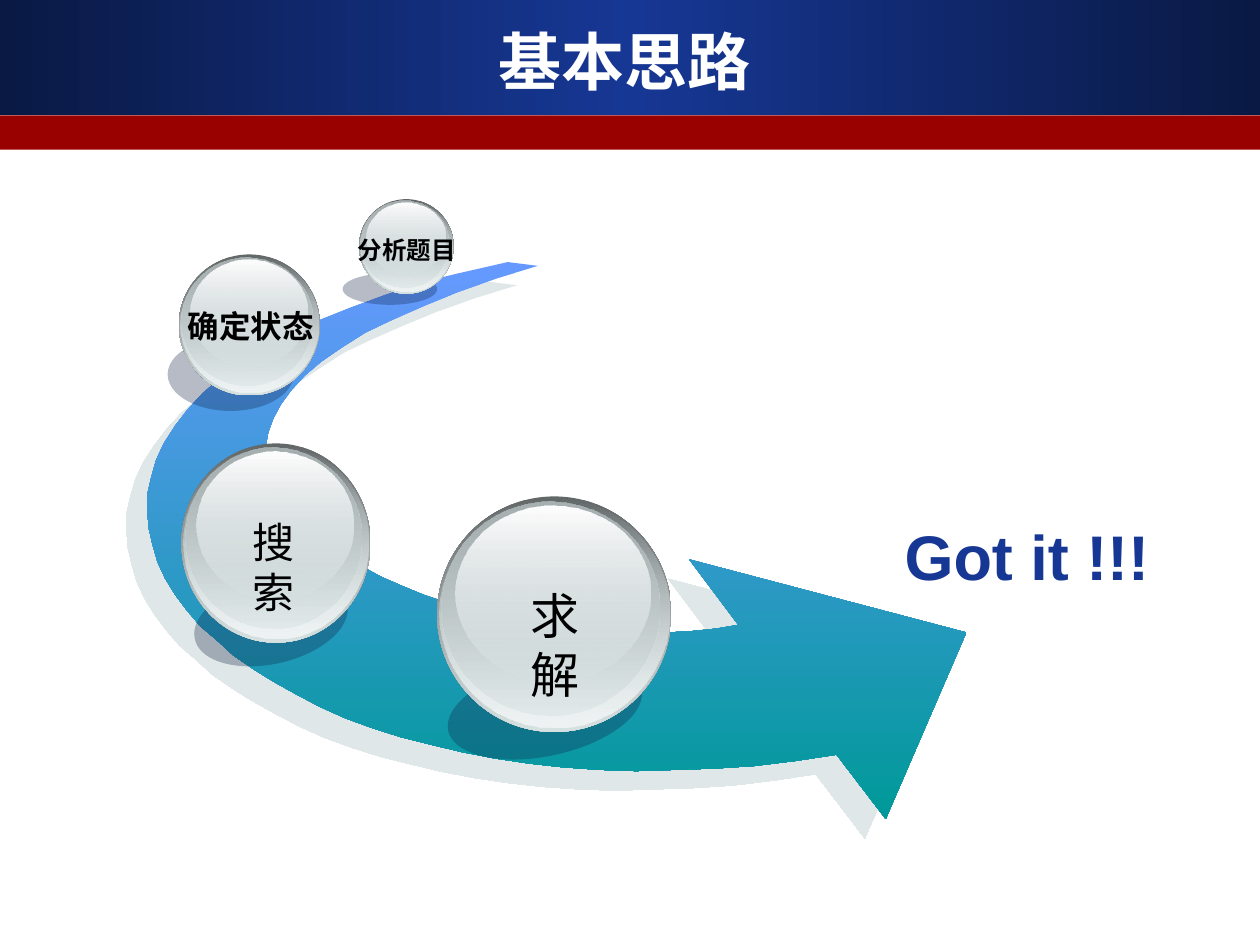
from lxml.etree import SubElement
from pptx import Presentation
from pptx.dml.color import RGBColor
from pptx.enum.shapes import MSO_SHAPE as Preset
from pptx.enum.text import MSO_ANCHOR as Anchor, MSO_AUTO_SIZE as AutoSize, PP_ALIGN as Align
from pptx.oxml.ns import qn
from pptx.util import Pt

NAVY, BLUE, RED, BLACK, WHITE = "0A1944", "163794", "990000", "000000", "FFFFFF"
BALL_SHADOW = "0F2145"

# Arrow outline, in hundredths of an inch
ARROW = [
    # Outer edge, from tail to head
    (403, 208), (368, 216), (336, 224), (306, 234), (279, 244), (254, 254),
    (231, 265), (210, 276), (191, 288), (175, 300), (161, 312), (149, 325),
    (139, 338), (130, 352), (124, 365), (120, 379), (117, 392), (117, 406),
    (118, 419), (121, 432), (125, 446), (131, 459), (139, 472), (148, 484),
    (159, 497), (172, 508), (185, 520), (201, 531), (217, 541), (235, 551),
    (254, 561), (274, 570), (296, 578), (318, 585), (342, 591), (367, 597),
    (393, 602), (420, 606), (447, 609), (476, 611), (505, 612), (536, 611),
    (567, 610), (598, 608), (631, 604), (664, 599),
    # Head
    (703, 650), (767, 502), (547, 444), (586, 496),
    # Inner edge, back to tail
    (568, 499), (548, 501), (529, 502), (509, 502), (489, 502), (469, 500),
    (449, 498), (429, 496), (410, 492), (390, 488), (372, 483), (354, 478),
    (336, 472), (319, 465), (303, 458), (288, 450), (274, 442), (261, 434),
    (250, 425), (239, 416), (231, 406), (223, 396), (218, 386), (213, 375),
    (211, 365), (211, 354), (213, 343), (217, 332), (223, 321), (231, 310),
    (242, 298), (255, 287), (271, 276), (290, 264), (311, 254), (336, 243),
    (363, 232), (394, 221), (427, 211),
]

# Glass layers: left, top, width, height as shares of the ball, then gradient stops
LAYERS = [
    ((0, 0, 1, 1), [("626768", 100), ("D6E1E2", 100)]),
    ((0.01, 0.01, 0.98, 0.97), [("D6E1E2", 0), ("EFF3F3", 100)]),
    ((0.02, 0.02, 0.93, 0.91), [("A8B1B2", 100), ("D6E1E2", 48)]),
    ((0.08, 0.04, 0.83, 0.74), [("FEFEFE", 100), ("D6E1E2", 38)]),
]

# Label, size, bold, label box, ball box, shadow box, shadow rotation
BALLS = [
    ("求解", 28, False, (282.2, 331.2, 69.8, 41), (249.8, 283.7, 133.9, 134.6),
     (254.9, 379.4, 113, 52.6), 347.9),
    ("搜索", 24, False, (125.3, 291.6, 61.9, 36), (103.7, 253.4, 108, 113.8),
     (110.2, 331.2, 89.3, 48.2), 347.1),
    ("确定状态", 18, True, (100.1, 172.1, 86.4, 28.8), (102.2, 145.4, 80.6, 80.6),
     (95.8, 193, 72, 41.8), 0),
    ("分析题目", 14, True, (197.3, 131, 70.6, 24.5), (205.2, 113.8, 54, 54),
     (195.8, 156.2, 54, 18), 0),
]


def points(box):
    return [Pt(value) for value in box]


def add_color(parent, color, alpha=100):
    element = SubElement(parent, qn("a:srgbClr"), val=color)
    if alpha < 100:
        SubElement(element, qn("a:alpha"), val=str(alpha * 1000))


def paint(shape, stops, angle=90):
    """Fill with one (colour, opacity) pair, or a gradient of evenly spaced pairs."""
    shape.shadow.inherit = False
    shape.line.fill.background()
    properties = shape.element.spPr
    fill = SubElement(properties, qn("a:solidFill" if len(stops) == 1 else "a:gradFill"))
    properties[1].addnext(fill)  # the fill follows the geometry
    if len(stops) == 1:
        add_color(fill, *stops[0])
        return
    stop_list = SubElement(fill, qn("a:gsLst"))
    for index, stop in enumerate(stops):
        position = 100000 * index // (len(stops) - 1)
        add_color(SubElement(stop_list, qn("a:gs"), pos=str(position)), *stop)
    SubElement(fill, qn("a:lin"), ang=str(angle * 60000), scaled="0")


def add_preset(shapes, preset, box, stops, angle=90, rotation=0):
    shape = shapes.add_shape(preset, *points(box))
    shape.rotation = rotation
    paint(shape, stops, angle)


def write(shape, text, size, color, bold, font="Arial", align=Align.CENTER):
    paragraph = shape.text_frame.paragraphs[0]
    paragraph.text = text
    paragraph.alignment = align
    paragraph.font.name = font
    paragraph.font.size = Pt(size)
    paragraph.font.bold = bold
    paragraph.font.color.rgb = RGBColor.from_string(color)


def add_label(shapes, box, text, size, color, bold, align=Align.CENTER, wrap=False):
    label = shapes.add_textbox(*points(box))
    label.text_frame.word_wrap = wrap
    label.text_frame.auto_size = AutoSize.SHAPE_TO_FIT_TEXT
    write(label, text, size, color, bold, align=align)


def add_title(slide, text):
    title = slide.shapes.title
    title.left, title.top, title.width, title.height = points((23.8, 12.2, 666, 44.6))
    title.text_frame.vertical_anchor = Anchor.MIDDLE
    write(title, text, 36, WHITE, True, font="DejaVu Sans")
    slide.shapes.element.append(title.element)  # in front of the bands


def add_arrow(shapes):
    builder = shapes.build_freeform(*ARROW[0], scale=Pt(0.72))
    builder.add_line_segments(ARROW[1:], close=True)
    arrow = builder.convert_to_shape()
    paint(arrow, [("6699FF", 100), ("009999", 100)])
    effects = arrow.element.spPr.find(qn("a:effectLst"))
    shadow = SubElement(effects, qn("a:outerShdw"), dist=str(Pt(16.3)),
                        dir=str(137 * 60000), algn="ctr", rotWithShape="0")
    add_color(shadow, "C1D1D3", 50)


def add_ball(shapes, text, size, bold, label_box, ball_box, shadow_box, rotation):
    group = shapes.add_group_shape().shapes
    add_preset(group, Preset.OVAL, shadow_box, [(BALL_SHADOW, 30)], rotation=rotation)
    left, top, width, height = ball_box
    for (x, y, w, h), stops in LAYERS:
        box = (left + x * width, top + y * height, w * width, h * height)
        add_preset(group, Preset.OVAL, box, stops)
    add_label(group, label_box, text, size, BLACK, bold)


def main():
    presentation = Presentation()
    presentation.slide_width, presentation.slide_height = Pt(720), Pt(540)
    slide = presentation.slides.add_slide(presentation.slide_layouts[5])
    shapes = slide.shapes

    # Header bands and title
    add_preset(shapes, Preset.RECTANGLE, (0, 0, 720, 65.5),
               [(NAVY, 100), (BLUE, 100), (NAVY, 100)], angle=180)
    add_preset(shapes, Preset.RECTANGLE, (0, 66, 720, 19.5), [(RED, 100)])
    add_title(slide, "基本思路")

    # Arrow and its goal
    add_arrow(shapes)
    add_label(shapes, (509.8, 292.3, 210.2, 50.4), "Got it !!!", 36, BLUE, True,
              align=Align.LEFT, wrap=True)

    # Steps along the arrow
    for ball in BALLS:
        add_ball(shapes, *ball)

    presentation.save("out.pptx")


if __name__ == "__main__":
    main()
